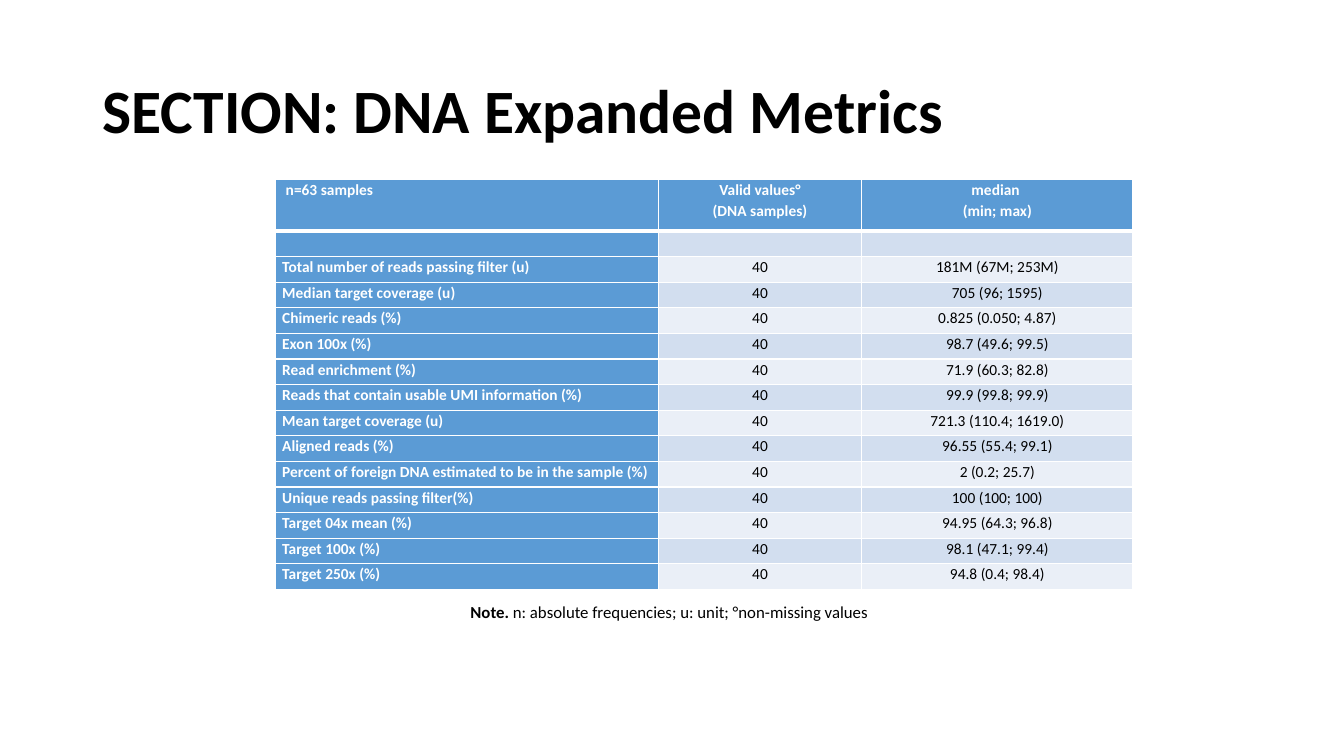
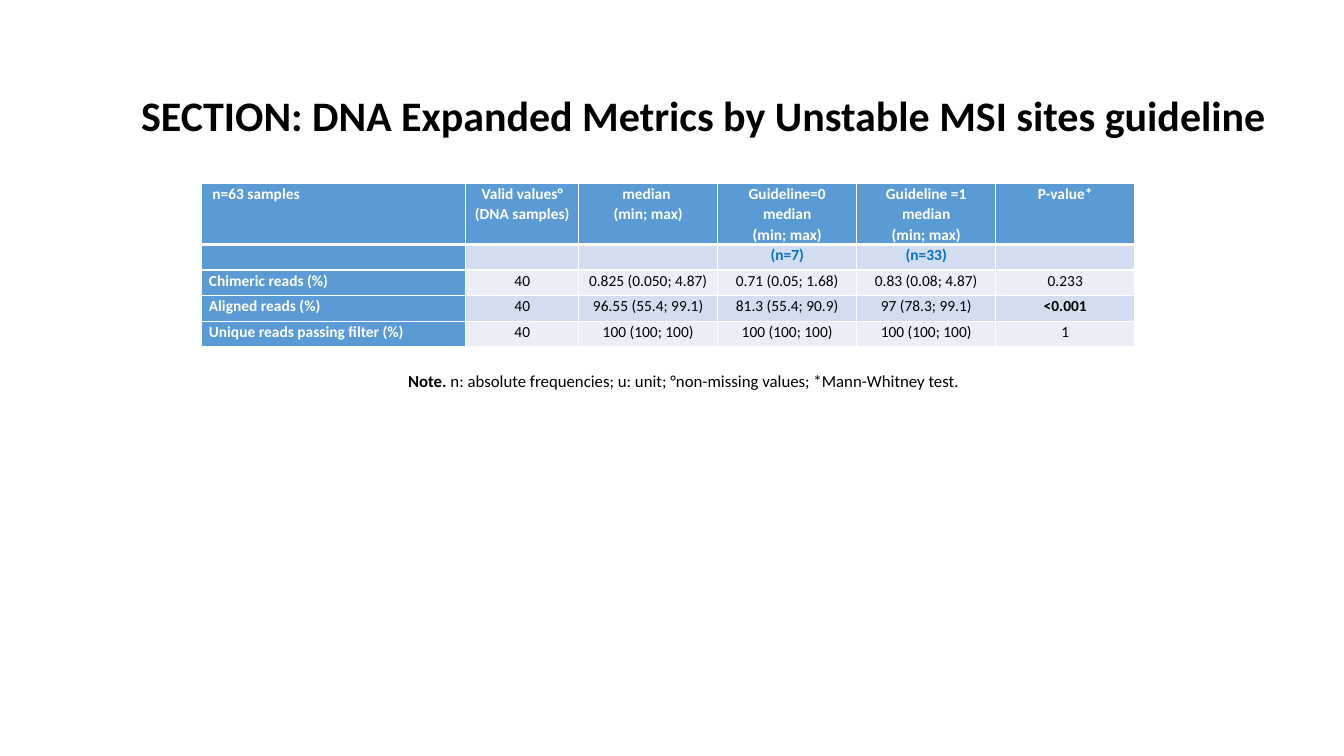
from lxml.etree import SubElement
from pptx import Presentation
from pptx.dml.color import RGBColor
from pptx.enum.text import MSO_ANCHOR, MSO_AUTO_SIZE, PP_ALIGN
from pptx.oxml.ns import qn
from pptx.util import Pt

FONT = "Calibri"
BLACK = RGBColor(0x00, 0x00, 0x00)
WHITE = RGBColor(0xFF, 0xFF, 0xFF)
HEADER_BLUE = RGBColor(0x5B, 0x9B, 0xD5)
DARK_BAND = RGBColor(0xD2, 0xDE, 0xEF)
LIGHT_BAND = RGBColor(0xEA, 0xEF, 0xF7)
GROUP_BLUE = RGBColor(0x00, 0x70, 0xC0)

HEADER_HEIGHT = 36.7
ROW_HEIGHT = 18.3
SIGNIFICANT = "<0.001"
COMMON_HEADERS = [" n=63 samples", "Valid values°\n(DNA samples)", "median \n(min; max)"]
COMMON_NOTE = " n: absolute frequencies; u: unit; °non-missing values"

SLIDES = [
    {
        "title": "SECTION: DNA Expanded Metrics",
        "title_at": (66, 29, 828, 104.4),
        "title_size": 44,
        "table_at": (196.6, 128.3),
        "widths": [273.6, 145.4, 193.7],
        "rows": [
            COMMON_HEADERS,
            ["", "", ""],
            ["Total number of reads passing filter (u)", "40", "181M (67M; 253M)"],
            ["Median target coverage (u)", "40", "705 (96; 1595)"],
            ["Chimeric reads (%)", "40", "0.825 (0.050; 4.87)"],
            ["Exon 100x (%)", "40", "98.7 (49.6; 99.5)"],
            ["Read enrichment (%)", "40", "71.9 (60.3; 82.8)"],
            ["Reads that contain usable UMI information (%)", "40", "99.9 (99.8; 99.9)"],
            ["Mean target coverage (u)", "40", "721.3 (110.4; 1619.0)"],
            ["Aligned reads (%)", "40", "96.55 (55.4; 99.1)"],
            ["Percent of foreign DNA estimated to be in the sample (%)", "40", "2 (0.2; 25.7)"],
            ["Unique reads passing filter(%)", "40", "100 (100; 100)"],
            ["Target 04x mean (%)", "40", "94.95 (64.3; 96.8)"],
            ["Target 100x (%)", "40", "98.1 (47.1; 99.4)"],
            ["Target 250x (%)", "40", "94.8 (0.4; 98.4)"],
        ],
        "note": COMMON_NOTE,
        "note_at": (329, 425, 302.4, 23),
    },
    {
        "title": "SECTION: DNA Expanded Metrics by Unstable MSI sites guideline",
        "title_at": (93.6, 31.7, 828, 104.4),
        "title_size": 30,
        "table_at": (144.2, 131),
        "widths": [188.6, 80.6] + [99.3] * 4,
        "rows": [
            COMMON_HEADERS
            + ["Guideline=0\nmedian\n(min; max)", "Guideline =1\nmedian\n(min; max)", "P-value*"],
            ["", "", "", "(n=7)", "(n=33)", ""],
            ["Chimeric reads (%)", "40", "0.825 (0.050; 4.87)", "0.71 (0.05; 1.68)", "0.83 (0.08; 4.87)", "0.233"],
            ["Aligned reads (%)", "40", "96.55 (55.4; 99.1)", "81.3 (55.4; 90.9)", "97 (78.3; 99.1)", SIGNIFICANT],
            ["Unique reads passing filter (%)", "40"] + ["100 (100; 100)"] * 3 + ["1"],
        ],
        "note": COMMON_NOTE + "; *Mann-Whitney test.",
        "note_at": (284.4, 260.6, 420.5, 23),
    },
]


def style_run(span, size, color, bold):
    span.font.name = FONT
    span.font.size = Pt(size)
    span.font.color.rgb = color
    span.font.bold = bold


def add_border(cell, side, width):
    line = SubElement(cell._tc.get_or_add_tcPr(), qn(f"a:ln{side}"), w=str(Pt(width)))
    fill = SubElement(line, qn("a:solidFill"))
    SubElement(fill, qn("a:srgbClr"), val=str(WHITE))


deck = Presentation()
deck.slide_width = Pt(960)
deck.slide_height = Pt(540)

for content in SLIDES:
    page = deck.slides.add_slide(deck.slide_layouts[5])

    title = page.shapes.title
    title.left, title.top, title.width, title.height = map(Pt, content["title_at"])
    title.text_frame.text = content["title"]
    title.text_frame.vertical_anchor = MSO_ANCHOR.MIDDLE
    para = title.text_frame.paragraphs[0]
    para.alignment = PP_ALIGN.LEFT
    para.line_spacing = 0.9
    style_run(para.runs[0], content["title_size"], BLACK, True)

    rows, widths = content["rows"], content["widths"]
    left, top = content["table_at"]
    height = HEADER_HEIGHT + ROW_HEIGHT * (len(rows) - 1)
    table = page.shapes.add_table(
        len(rows), len(widths), Pt(left), Pt(top), Pt(sum(widths)), Pt(height)
    ).table
    for column, width in zip(table.columns, widths):
        column.width = Pt(width)

    for row_index, values in enumerate(rows):
        table.rows[row_index].height = Pt(ROW_HEIGHT if row_index else HEADER_HEIGHT)
        for column_index, value in enumerate(values):
            cell = table.cell(row_index, column_index)
            cell.margin_left = cell.margin_right = Pt(5)
            cell.margin_top = cell.margin_bottom = Pt(0)
            add_border(cell, "L", 1)
            add_border(cell, "R", 1)
            add_border(cell, "T", 3 if row_index == 1 else 1)
            add_border(cell, "B", 3 if row_index == 0 else 1)

            is_header = row_index == 0 or column_index == 0
            band = DARK_BAND if row_index % 2 else LIGHT_BAND
            cell.fill.solid()
            cell.fill.fore_color.rgb = HEADER_BLUE if is_header else band

            color = WHITE if is_header else GROUP_BLUE if row_index == 1 else BLACK
            bold = is_header or row_index == 1 or value == SIGNIFICANT
            cell.text_frame.text = value
            for para in cell.text_frame.paragraphs:
                para.alignment = PP_ALIGN.CENTER if column_index else PP_ALIGN.LEFT
                para.line_spacing = 1.07
                for span in para.runs:
                    style_run(span, 11, color, bold)
                if not value:
                    SubElement(para._p, qn("a:endParaRPr"), sz="1100")

    note = page.shapes.add_textbox(*map(Pt, content["note_at"]))
    note.text_frame.word_wrap = True
    note.text_frame.auto_size = MSO_AUTO_SIZE.SHAPE_TO_FIT_TEXT
    para = note.text_frame.paragraphs[0]
    para.line_spacing = 1.07
    para.space_after = Pt(8)
    for text, bold in (("Note.", True), (content["note"], False)):
        span = para.add_run()
        span.text = text
        style_run(span, 12, BLACK, bold)

deck.save("out.pptx")
